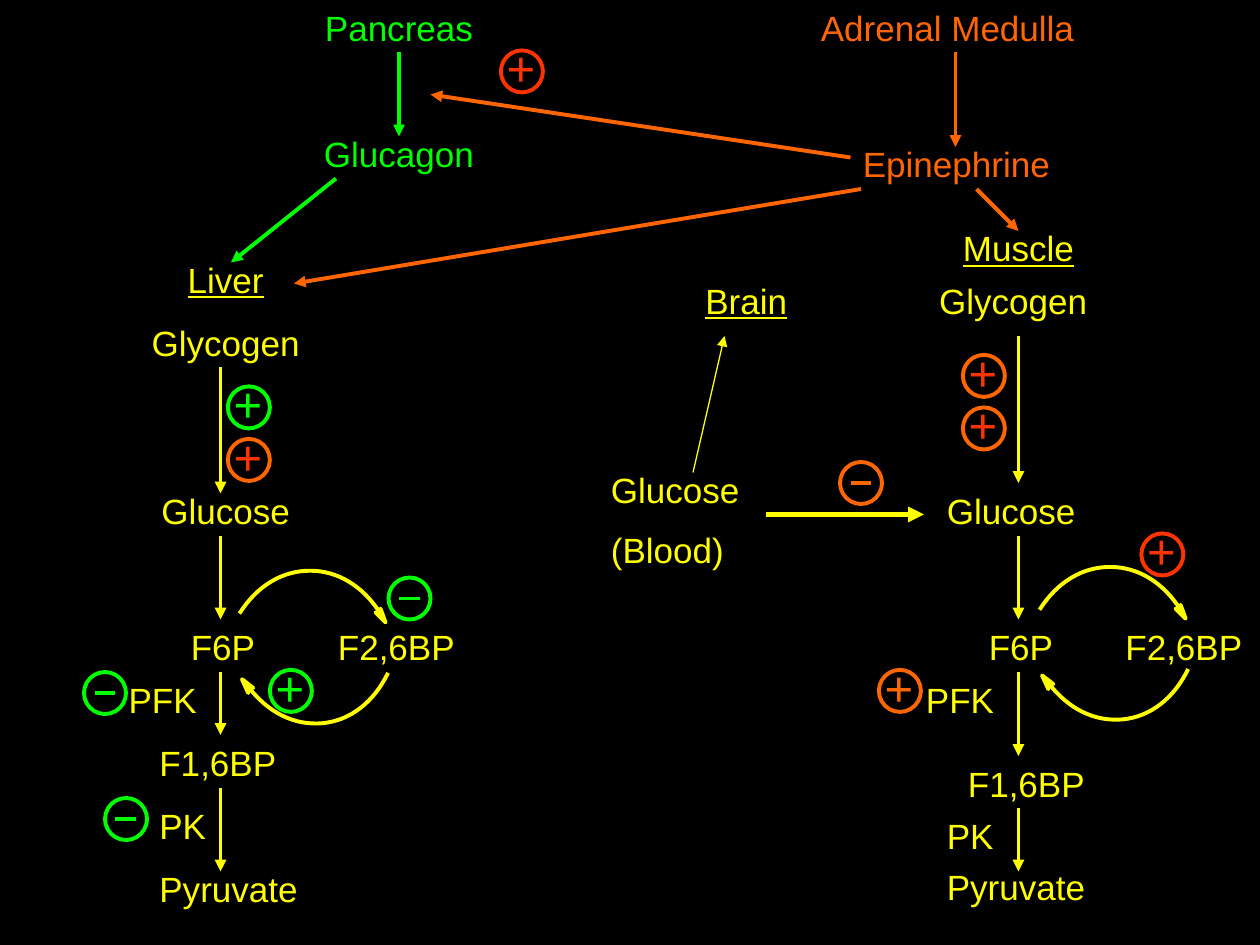
import dataclasses

import lxml.etree
import pptx
import pptx.dml.color
import pptx.enum.shapes
import pptx.enum.text
import pptx.oxml.ns
import pptx.util

RGBColor = pptx.dml.color.RGBColor
BLACK = RGBColor(0, 0, 0)
GREEN = RGBColor(0x00, 0xFF, 0x00)
YELLOW = RGBColor(0xFF, 0xFF, 0x00)
ORANGE = RGBColor(0xFF, 0x66, 0x00)
RED = RGBColor(0xFF, 0x33, 0x00)

# The slide is a grid of 120 columns by 90 rows
WIDE, HIGH = pptx.util.Inches(10), pptx.util.Inches(7.5)
CELL = WIDE / 120
THICK = 2.25


@dataclasses.dataclass
class Label:
    text: str
    col: float
    row: float
    cols: float
    color: RGBColor = YELLOW
    mid: bool = False
    under: bool = False
    size: float = 20
    rows: float = 5.2
    wrap: bool = True


@dataclasses.dataclass
class Arrow:
    start: tuple
    end: tuple
    color: RGBColor = YELLOW
    width: float = THICK
    head: bool = True


@dataclasses.dataclass
class Badge:
    sign: str
    col: float
    row: float
    ring: RGBColor
    ink: RGBColor


LABELS = [
    # Hormones
    Label("Pancreas", 25, 0, 26, GREEN, mid=True),
    Label("Glucagon", 29, 12, 18, GREEN, mid=True),
    Label("Adrenal Medulla", 77, 0, 28, ORANGE),
    Label("Epinephrine", 81, 13, 30, ORANGE),
    # Liver
    Label("Liver", 7, 24, 29, mid=True, under=True),
    Label("Glycogen", 7, 30, 29, mid=True),
    Label("Glucose", 12, 46, 19, mid=True),
    Label("F6P", 17, 59, 12),
    Label("F2,6BP", 31, 59, 16),
    Label("PFK", 11, 64, 9, mid=True),
    Label("F1,6BP", 14, 70, 16),
    Label("PK", 14, 76, 7),
    Label("Pyruvate", 14, 82, 22),
    # Brain and blood
    Label("Brain", 66, 26, 18, under=True),
    Label("Glucose\n(Blood)", 57, 44, 15, rows=11.2),
    # Muscle
    Label("Muscle", 86, 21, 22, mid=True, under=True),
    Label("Glycogen", 84, 26, 25, mid=True),
    Label("Glucose", 89, 46, 16),
    Label("F6P", 93, 59, 11),
    Label("F2,6BP", 106, 59, 14),
    Label("PFK", 87, 64, 9),
    Label("F1,6BP", 91, 72, 16),
    Label("PK", 89, 77, 10),
    Label("Pyruvate", 89, 81.85, 18),
]

ARROWS = [
    # Hormones
    Arrow((38, 5), (38, 13), GREEN),
    Arrow((32, 17), (22, 25), GREEN),
    Arrow((91, 5), (91, 14), ORANGE),
    Arrow((82, 18), (28, 27), ORANGE),
    Arrow((81, 15), (41, 9), ORANGE),
    Arrow((93, 18), (97, 22), ORANGE),
    # Blood
    Arrow((73, 49), (88, 49), width=3),
    Arrow((66, 45), (69, 32), width=0.75),
]
# Downward steps: column, then the first and last row of each arrow
STEPS = {
    21: [(35, 47), (51, 59), (64, 70), (75, 83)],
    97: [(32, 46), (51, 59), (64, 72), (77, 83)],
}
ARROWS += [Arrow((col, top), (col, end))
           for col, spans in STEPS.items() for top, end in spans]

BADGES = [
    Badge("+", 47.7, 4.8, RED, RED),
    Badge("+", 21.7, 36.8, GREEN, GREEN),
    Badge("+", 21.7, 41.8, ORANGE, RED),
    Badge("+", 25.7, 63.8, GREEN, GREEN),
    Badge("+", 91.7, 33.8, ORANGE, RED),
    Badge("+", 91.7, 38.8, ORANGE, RED),
    Badge("+", 83.7, 63.8, ORANGE, ORANGE),
    Badge("+", 108.7, 50.8, RED, RED),
    Badge("-", 8, 64, GREEN, GREEN),
    Badge("-", 10, 76, GREEN, GREEN),
    Badge("-", 37, 55, GREEN, GREEN),
    Badge("-", 80, 44, ORANGE, ORANGE),
]

# Cycle between F6P and F2,6BP, in inches: two Bezier arcs and their heads
ARCS = [
    [(1.9, 4.87), (2.04, 4.65), (2.24, 4.53), (2.46, 4.53),
     (2.68, 4.53), (2.88, 4.65), (3.02, 4.87)],
    [(3.08, 5.34), (2.97, 5.57), (2.78, 5.72), (2.56, 5.74),
     (2.34, 5.76), (2.13, 5.66), (1.97, 5.45)],
]
HEADS = [
    [(3.02, 4.83), (3.06, 4.94), (2.98, 4.86), (3.02, 4.87)],
    [(1.97, 5.5), (1.92, 5.39), (2.01, 5.46), (1.97, 5.45)],
]
SHIFTS = [(0, 0), (6.35, -0.03)]


def cells(*counts: float) -> list:
    return [pptx.util.Emu(round(n * CELL)) for n in counts]


def write(slide, item: Label) -> None:
    box = slide.shapes.add_textbox(
        *cells(item.col, item.row, item.cols, item.rows))
    frame = box.text_frame
    frame.word_wrap = item.wrap
    frame.auto_size = pptx.enum.text.MSO_AUTO_SIZE.SHAPE_TO_FIT_TEXT
    align = pptx.enum.text.PP_ALIGN
    for n, line in enumerate(item.text.split("\n")):
        para = frame.add_paragraph() if n else frame.paragraphs[0]
        para.alignment = align.CENTER if item.mid else align.LEFT
        if n:
            para.space_before = pptx.util.Pt(10.5)
        run = para.add_run()
        run.text = line
        run.font.name = "Arial"
        run.font.size = pptx.util.Pt(item.size)
        run.font.underline = item.under or None
        run.font.color.rgb = item.color


def stroke(line, color: RGBColor, width: float = THICK) -> None:
    line.color.rgb = color
    line.width = pptx.util.Pt(width)


def link(slide, item: Arrow) -> None:
    wire = slide.shapes.add_connector(
        pptx.enum.shapes.MSO_CONNECTOR.STRAIGHT,
        *cells(*item.start, *item.end))
    stroke(wire.line, item.color, item.width)
    props, name = wire.element.spPr, pptx.oxml.ns.qn
    if item.head:
        lxml.etree.SubElement(
            props.find(name("a:ln")), name("a:tailEnd"), type="triangle")
    lxml.etree.SubElement(props, name("a:effectLst"))


def mark(slide, item: Badge) -> None:
    col, row = item.col, item.row
    if item.sign == "+":
        write(slide, Label("+", col - 0.7, row - 1.8, 5.2, item.ink,
                           mid=True, size=28, rows=6.8, wrap=False))
    else:
        link(slide, Arrow((col + 1, row + 2), (col + 3, row + 2),
                          item.ink, head=False))
    ring = slide.shapes.add_shape(
        pptx.enum.shapes.MSO_SHAPE.OVAL, *cells(col, row, 4, 4))
    ring.shadow.inherit = False
    ring.fill.background()
    stroke(ring.line, item.ring)


def curve(knots: list, parts: int = 16) -> list:
    """Points along a chain of cubic Bezier pieces."""
    points = [knots[0]]
    for n in range(0, len(knots) - 1, 3):
        for step in range(1, parts + 1):
            t = step / parts
            u = 1 - t
            shares = (u ** 3, 3 * u * u * t, 3 * u * t * t, t ** 3)
            points.append(tuple(
                sum(s * k[axis] for s, k in zip(shares, knots[n:n + 4]))
                for axis in (0, 1)))
    return points


def trace(slide, points: list, shift: tuple, close: bool) -> None:
    spots = [tuple(pptx.util.Inches(p + d) for p, d in zip(point, shift))
             for point in points]
    pen = slide.shapes.build_freeform(*spots[0])
    pen.add_line_segments(spots[1:], close=close)
    shape = pen.convert_to_shape()
    shape.shadow.inherit = False
    if close:
        shape.fill.solid()
        shape.fill.fore_color.rgb = BLACK
    else:
        shape.fill.background()
    stroke(shape.line, YELLOW)


def main() -> None:
    deck = pptx.Presentation()
    deck.slide_width, deck.slide_height = WIDE, HIGH
    slide = deck.slides.add_slide(deck.slide_layouts[6])
    slide.background.fill.solid()
    slide.background.fill.fore_color.rgb = BLACK
    for draw, items in ((write, LABELS), (link, ARROWS), (mark, BADGES)):
        for item in items:
            draw(slide, item)
    for shift in SHIFTS:
        for arc, head in zip(ARCS, HEADS):
            trace(slide, curve(arc), shift, close=False)
            trace(slide, head, shift, close=True)
    deck.save("out.pptx")


if __name__ == "__main__":
    main()
